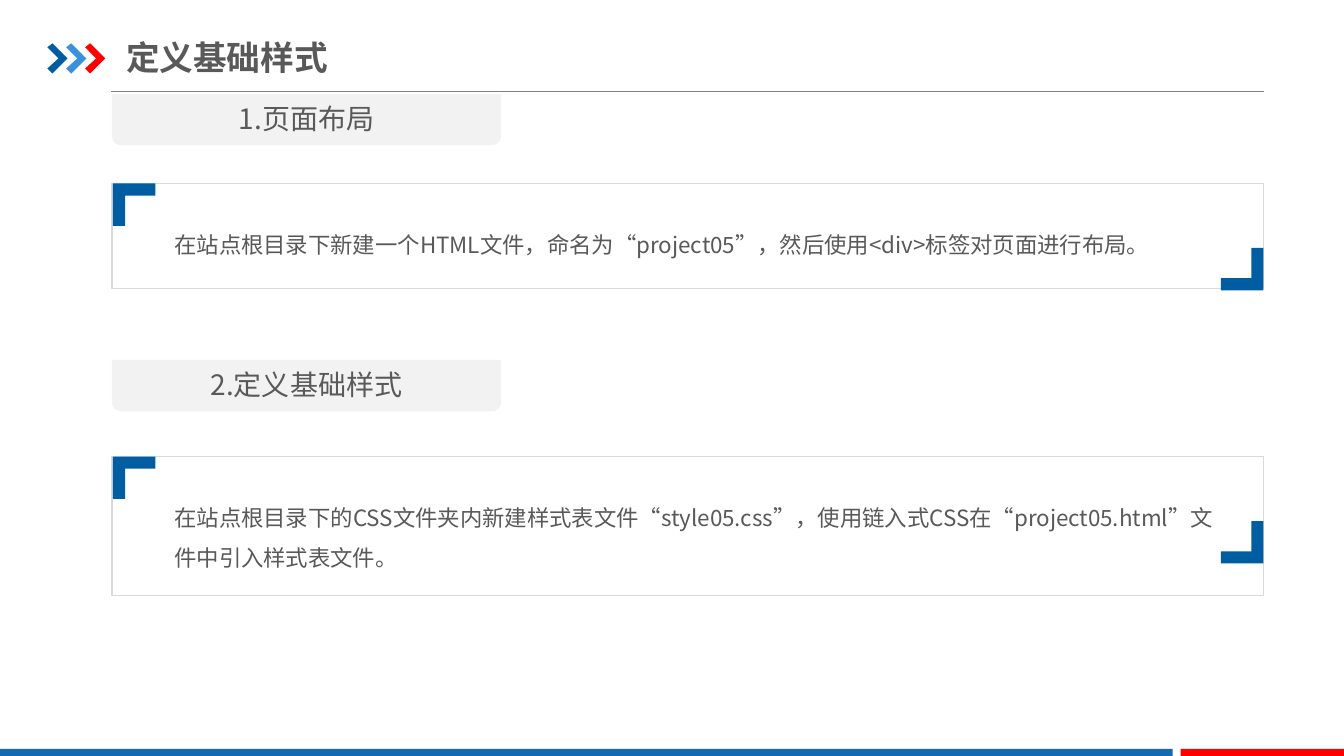
from pptx import Presentation
from pptx.dml.color import RGBColor
from pptx.enum.shapes import MSO_CONNECTOR, MSO_SHAPE
from pptx.enum.text import MSO_ANCHOR, MSO_AUTO_SIZE, PP_ALIGN
from pptx.oxml.ns import qn
from pptx.util import Inches, Pt
from lxml.etree import SubElement

FONT = "Noto Sans CJK SC"
TEXT = RGBColor(0x59, 0x59, 0x59)
NAVY = RGBColor(0x00, 0x5D, 0xA2)
SKY = RGBColor(0x39, 0x92, 0xDB)
RED = RGBColor(0xFF, 0x00, 0x00)
FOOTER_BLUE = RGBColor(0x13, 0x69, 0xB2)
RULE_GRAY = RGBColor(0x80, 0x80, 0x80)
TAB_GRAY = RGBColor(0xF2, 0xF2, 0xF2)
FRAME_GRAY = RGBColor(0xD9, 0xD9, 0xD9)

CHEVRON = [(0, 0.04), (0.05, 0), (0.2, 0.15), (0.05, 0.3), (0, 0.25), (0.11, 0.15)]
CORNER = [(0, 0), (0.42, 0), (0.42, 0.12), (0.12, 0.12), (0.12, 0.42), (0, 0.42)]


def paint(sp, fill):
    sp.shadow.inherit = False
    sp.fill.solid()
    sp.fill.fore_color.rgb = fill
    sp.line.fill.background()


def add_block(slide, kind, x, y, w, h, fill):
    sp = slide.shapes.add_shape(kind, Inches(x), Inches(y), Inches(w), Inches(h))
    paint(sp, fill)
    return sp


def add_outline(slide, points, x, y, fill):
    pts = [(Inches(x + dx), Inches(y + dy)) for dx, dy in points]
    builder = slide.shapes.build_freeform(*pts[0])
    builder.add_line_segments(pts[1:], close=True)
    sp = builder.convert_to_shape()
    paint(sp, fill)
    return sp


def write(tf, text, size, align=PP_ALIGN.LEFT, bold=False):
    tf.word_wrap = True
    p = tf.paragraphs[0]
    p.alignment = align
    r = p.add_run()
    r.text = text
    p.font.size = Pt(size)
    p.font.bold = bold
    p.font.color.rgb = TEXT
    p.font.name = FONT
    # East Asian typeface for the Chinese text
    r.font.name = FONT
    SubElement(r._r.get_or_add_rPr(), qn("a:ea"), typeface=FONT)
    return p


def add_text(slide, x, y, w, h, text, size, align=PP_ALIGN.LEFT):
    sp = slide.shapes.add_textbox(Inches(x), Inches(y), Inches(w), Inches(h))
    tf = sp.text_frame
    p = write(tf, text, size, align)
    tf.auto_size = MSO_AUTO_SIZE.SHAPE_TO_FIT_TEXT
    return tf, p


def add_header(slide, x, y, w, title):
    # Rule under the title
    rule = slide.shapes.add_connector(
        MSO_CONNECTOR.STRAIGHT, Inches(x + 0.63), Inches(y + 0.48),
        Inches(x + w), Inches(y + 0.48))
    rule.line.color.rgb = RULE_GRAY
    rule.line.width = Pt(0.75)
    SubElement(rule._element.spPr, qn("a:effectLst"))
    # Three chevrons
    for i, color in enumerate((NAVY, SKY, RED)):
        add_outline(slide, CHEVRON, x + i * 0.187, y, color)
    # Title
    sp = slide.shapes.title
    sp.left, sp.top = Inches(x + 0.78), Inches(y - 0.14)
    sp.width, sp.height = Inches(4.26), Inches(0.55)
    tf = sp.text_frame
    tf.margin_left = tf.margin_right = 0
    tf.margin_top = tf.margin_bottom = Inches(0.07)
    tf.vertical_anchor = MSO_ANCHOR.MIDDLE
    write(tf, title, 24, bold=True)


def add_footer(slide, y):
    add_block(slide, MSO_SHAPE.RECTANGLE, 0, y, 11.63, 0.09, FOOTER_BLUE)
    add_block(slide, MSO_SHAPE.RECTANGLE, 11.71, y, 1.63, 0.09, RED)


def add_heading(slide, x, y, text):
    tab = add_block(slide, MSO_SHAPE.ROUND_2_SAME_RECTANGLE, x, y, 3.86, 0.51, TAB_GRAY)
    tab.rotation = 180
    add_text(slide, x, y + 0.03, 3.86, 0.44, text, 20, PP_ALIGN.CENTER)


def add_panel(slide, x, y, w, h, text):
    # Frame
    frame = add_block(slide, MSO_SHAPE.ROUNDED_RECTANGLE, x, y, w, h, FRAME_GRAY)
    frame.adjustments[0] = 0
    frame.fill.background()
    frame.line.color.rgb = FRAME_GRAY
    frame.line.width = Pt(1)
    # Body text
    tf, p = add_text(slide, x + 0.62, y + 0.34, 10.37, h - 0.63, text, 16)
    tf.margin_left = tf.margin_right = tf.margin_top = tf.margin_bottom = 0
    p.line_spacing = 1.5
    # Corner marks
    add_outline(slide, CORNER, x + 0.01, y, NAVY)
    add_outline(slide, CORNER, x + w - 0.42, y + 0.64, NAVY).rotation = 180


def main():
    prs = Presentation()
    prs.slide_width, prs.slide_height = Inches(13.33), Inches(7.5)
    slide = prs.slides.add_slide(prs.slide_layouts[5])

    add_header(slide, 0.47, 0.43, 12.07, "定义基础样式")
    add_footer(slide, 7.43)

    sections = [
        (0.93, "1.页面布局", 1.82, 1.04,
         "在站点根目录下新建一个HTML文件，命名为“project05”，然后使用<div>标签对页面进行布局。"),
        (3.57, "2.定义基础样式", 4.53, 1.38,
         "在站点根目录下的CSS文件夹内新建样式表文件“style05.css”，使用链入式CSS"
         "在“project05.html”文件中引入样式表文件。"),
    ]
    for heading_y, heading, panel_y, panel_h, body in sections:
        add_heading(slide, 1.11, heading_y, heading)
        add_panel(slide, 1.11, panel_y, 11.42, panel_h, body)

    prs.save("out.pptx")


if __name__ == "__main__":
    main()
